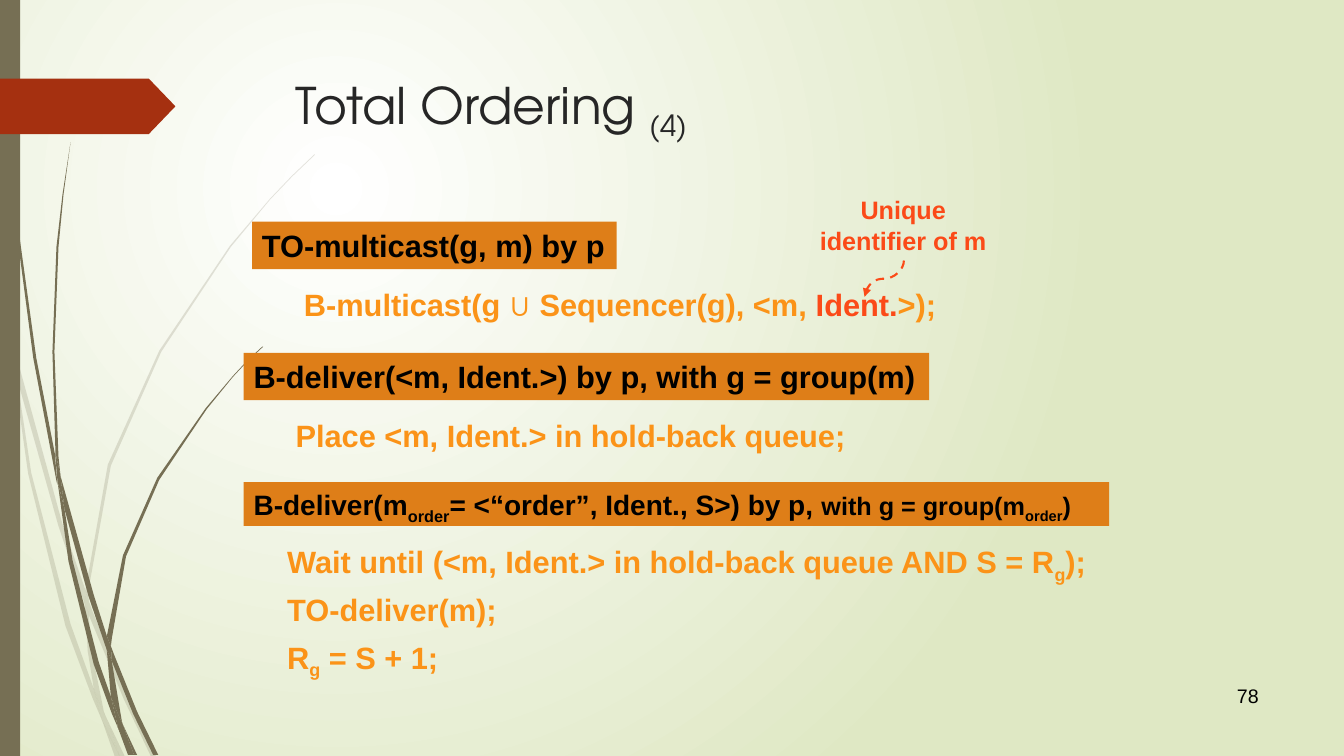
from lxml import etree
from pptx import Presentation
from pptx import util as u
from pptx.dml.color import RGBColor
from pptx.enum import dml, shapes, text
from pptx.oxml import parse_xml
from pptx.oxml.ns import qn

WIDTH, HEIGHT = 13.33, 7.5
CELL = 1 / 12
OLIVE, RUST, BAND = "766F54", "A53010", "DE7E18"
BLACK, ORANGE, RED = "000000", "FB9318", "FB4A18"
SUB = "sub"

TITLE = [("Total Ordering ", 36), ("(4)", 36, SUB)]
HEADINGS = [
    (30, 26.4, 43.4, 5.64, [("TO-multicast(g, m) by p", 22)]),
    (29, 42, 81.6, 5.64, [("B-deliver(<m, Ident.>) by p, with g = group(m)", 22)]),
    (29, 57.4, 103, 5.2, [
        ("B-deliver(m", 20), ("order", 20, SUB),
        ("= <“order”, Ident., S>) by p, ", 20),
        ("with g = group(m", 18), ("order", 18, SUB), (")", 18)]),
]
STEPS = [
    (35, 33.4, [("B-multicast(g ∪ Sequencer(g), <m, ", 22),
                ("Ident.", 22, RED), (">);", 22)]),
    (34, 49, [("Place <m, Ident.> in hold-back queue;", 22)]),
    (33, 64, [("Wait until (<m, Ident.> in hold-back queue AND S = R", 22),
              ("g", 22, SUB), (");", 22)]),
    (33, 69.7, [("TO-deliver(m);", 22)]),
    (33, 75.4, [("R", 22), ("g", 22, SUB), (" = S + 1;", 22)]),
]
NOTE = [("Unique identifier of m ", 18)]
PAGE_NUMBER = [("78", 14)]

PALE_GRASS = [
    [(.11, 3.5), (.09, 3.22), (0, 2.82), (0, 2.99), (.1, 3.44)],
    [(.58, 5.22), (.84, 5.99), (.85, 5.86), (.62, 5.2), (.14, 3.45), (.17, 3.76)],
    [(.92, 6.07), (.88, 5.96), (.88, 6.1), (1.23, 6.94), (1.5, 7.51), (1.55, 7.51),
     (1.27, 6.92)],
    [(1.19, 7.51), (1.24, 7.51), (1.05, 7.11)],
    [(.93, 6.83), (.7, 6.19), (.31, 4.69), (.17, 3.76), (.11, 3.5), (.28, 4.7),
     (.65, 6.21), (.92, 6.93), (1.01, 7.14), (.99, 7.07)],
    [(.84, 5.99), (.87, 6.46), (.93, 6.83), (.96, 6.92), (1.05, 7.11), (1.03, 7.06),
     (.91, 6.46), (.88, 6.1), (.88, 6.08)],
    [(.88, 5.84), (1.1, 4.62), (1.6, 3.49), (2.29, 2.45), (2.68, 1.98), (2.9, 1.75),
     (3.12, 1.54), (3.12, 1.53), (2.89, 1.75), (2.68, 1.97), (2.28, 2.44), (1.58, 3.48),
     (1.07, 4.61), (.85, 5.84), (.85, 5.86), (.88, 5.96)],
    [(1.01, 7.14), (1.14, 7.51), (1.19, 7.51)],
    [(.88, 6.08), (.88, 6.1), (.88, 5.96), (.85, 5.86), (.84, 5.99)],
    [(.96, 6.92), (.93, 6.83), (.99, 7.07), (1.01, 7.14), (1.19, 7.51), (1.05, 7.11)],
]
DARK_GRASS = [
    [(.07, 1.1), (.17, 2.33), (.33, 3.55), (.56, 4.77), (.57, 4.81), (.55, 4.57),
     (.55, 4.53), (.36, 3.55), (.19, 2.32), (.08, 1.09), (.05, .48), (.04, 0), (.03, 0),
     (.04, .48)],
    [(.88, 5.92), (1.06, 6.45), (1.06, 6.33), (1.06, 6.31), (.93, 5.9), (.6, 4.72),
     (.64, 5.05)],
    [(1.13, 6.49), (1.1, 6.41), (1.11, 6.56), (1.32, 7.08), (1.52, 7.49), (1.57, 7.49),
     (1.36, 7.06)],
    [(1.1, 6.91), (.98, 6.57), (.72, 5.56), (.64, 5.05), (.57, 4.77), (.68, 5.57),
     (.93, 6.59), (1.11, 7.08), (1.17, 7.22), (1.16, 7.17)],
    [(.6, 4.72), (.58, 4.53), (.54, 3.49), (.58, 2.45), (.63, 1.93), (.7, 1.41),
     (.62, 1.93), (.56, 2.45), (.52, 3.49), (.55, 4.49)],
    [(1.33, 7.49), (1.36, 7.49), (1.22, 7.19)],
    [(.57, 4.77), (.64, 5.05), (.6, 4.72), (.55, 4.49), (.55, 4.53)],
    [(1.11, 6.33), (1.25, 5.52), (1.58, 4.76), (2.05, 4.06), (2.31, 3.74), (2.45, 3.59),
     (2.61, 3.44), (2.6, 3.44), (2.45, 3.58), (2.31, 3.73), (2.04, 4.05), (1.56, 4.74),
     (1.22, 5.51), (1.06, 6.31), (1.1, 6.41)],
    [(1.17, 7.22), (1.27, 7.49), (1.31, 7.49)],
    [(1.06, 6.45), (1.1, 6.91), (1.16, 7.06), (1.22, 7.19), (1.21, 7.16), (1.11, 6.56),
     (1.09, 6.51)],
    [(1.06, 6.45), (1.09, 6.51), (1.11, 6.56), (1.1, 6.41), (1.06, 6.31), (1.06, 6.33)],
    [(1.16, 7.06), (1.1, 6.91), (1.16, 7.17), (1.17, 7.22), (1.3, 7.49), (1.33, 7.49),
     (1.22, 7.19)],
]


def rgb(value):
    """Turn a hex string into a colour."""
    return RGBColor.from_string(value)


def paint(shape, color, opacity=100):
    """Give a shape a plain fill without line or shadow."""
    shape.shadow.inherit = False
    shape.fill.solid()
    shape.fill.fore_color.rgb = rgb(color)
    shape.line.fill.background()
    if opacity < 100:
        tone = shape.fill._xPr.find(".//" + qn("a:srgbClr"))
        etree.SubElement(tone, qn("a:alpha"), val=str(opacity * 1000))


def write(shape, spans, color, font="Arial", bold=True, align="LEFT", anchor="TOP", wrap=True):
    """Fill a shape with one paragraph of formatted spans."""
    frame = shape.text_frame
    frame.word_wrap = wrap
    frame.auto_size = text.MSO_AUTO_SIZE.NONE
    frame.vertical_anchor = getattr(text.MSO_ANCHOR, anchor)
    para = frame.paragraphs[0]
    para.alignment = getattr(text.PP_ALIGN, align)
    for words, size, *style in spans:
        span = para.add_run()
        span.text = words
        span.font.size, span.font.name, span.font.bold = u.Pt(size), font, bold
        span.font.color.rgb = rgb(RED if RED in style else color)
        if SUB in style:
            span._r.get_or_add_rPr().set("baseline", "-25000")


def cells(*values):
    """Convert grid cells to lengths."""
    return [u.Inches(value * CELL) for value in values]


def add_grass(page, pieces, opacity):
    """Draw the pieces of one tuft of grass."""
    for outline in pieces:
        start, *rest = [(u.Inches(x), u.Inches(y)) for x, y in outline]
        builder = page.shapes.build_freeform(*start)
        builder.add_line_segments(rest)
        paint(builder.convert_to_shape(), OLIVE, opacity)


def set_background(page):
    """Fill the page with a round glow near its upper left."""
    page.background.fill.solid()
    props = page.background.fill._xPr
    glow = parse_xml(
        '<a:gradFill xmlns:a="http://schemas.openxmlformats.org/drawingml/2006/main">'
        '<a:gsLst><a:gs pos="0"><a:srgbClr val="FFFFFF"/></a:gs>'
        '<a:gs pos="100000"><a:srgbClr val="DFE8C4"/></a:gs></a:gsLst><a:path path="circle">'
        '<a:fillToRect l="50000" t="50000" r="100000" b="100000"/></a:path></a:gradFill>')
    props.replace(props.find(qn("a:solidFill")), glow)


def add_pointer(page):
    """Draw the dashed curve from the note to the identifier."""
    ends = [u.Inches(value) for value in (8.59, 2.57, 8.95, 2.96)]
    curve = page.shapes.add_connector(shapes.MSO_CONNECTOR.CURVE, *ends)
    curve.line.color.rgb = rgb(RED)
    curve.line.width = u.Pt(1.5)
    curve.line.dash_style = dml.MSO_LINE.DASH
    props = curve._element.spPr
    props.find(qn("a:xfrm")).set("rot", "5400000")
    etree.SubElement(props.find(qn("a:ln")), qn("a:tailEnd"), type="triangle")
    etree.SubElement(props, qn("a:effectLst"))


def main():
    """Build the slide."""
    deck = Presentation()
    deck.slide_width, deck.slide_height = u.Inches(WIDTH), u.Inches(HEIGHT)
    page = deck.slides.add_slide(deck.slide_layouts[5])
    set_background(page)
    add_grass(page, PALE_GRASS, 20)
    add_grass(page, DARK_GRASS, 100)

    rect = shapes.MSO_SHAPE.RECTANGLE
    paint(page.shapes.add_shape(rect, 0, 0, u.Inches(.2), deck.slide_height), OLIVE)
    tag = page.shapes.add_shape(shapes.MSO_SHAPE.PENTAGON, 0, u.Inches(.78),
                                u.Inches(1.74), u.Inches(.55))
    tag.adjustments[0] = .48
    paint(tag, RUST)

    title = page.shapes.title
    title.left, title.top, title.width, title.height = cells(34, 8.2, 117, 16.8)
    write(title, TITLE, "262626", "TeX Gyre Adventor", bold=False)

    for left, top, width, height, spans in HEADINGS:
        band = page.shapes.add_shape(rect, *cells(left, top, width, height))
        paint(band, BAND)
        write(band, spans, BLACK, wrap=False)
    for left, top, spans in STEPS:
        width = 101 if top == 64 else 92
        write(page.shapes.add_textbox(*cells(left, top, width, 5.64)), spans, ORANGE)

    write(page.shapes.add_textbox(*cells(96, 22.6, 23, 8.4)), NOTE, RED, align="CENTER")
    add_pointer(page)
    write(page.shapes.add_textbox(*cells(136, 80.4, 15, 4.9)), PAGE_NUMBER, BLACK,
          bold=False, align="RIGHT", anchor="MIDDLE")
    deck.save("out.pptx")


if __name__ == "__main__":
    main()
